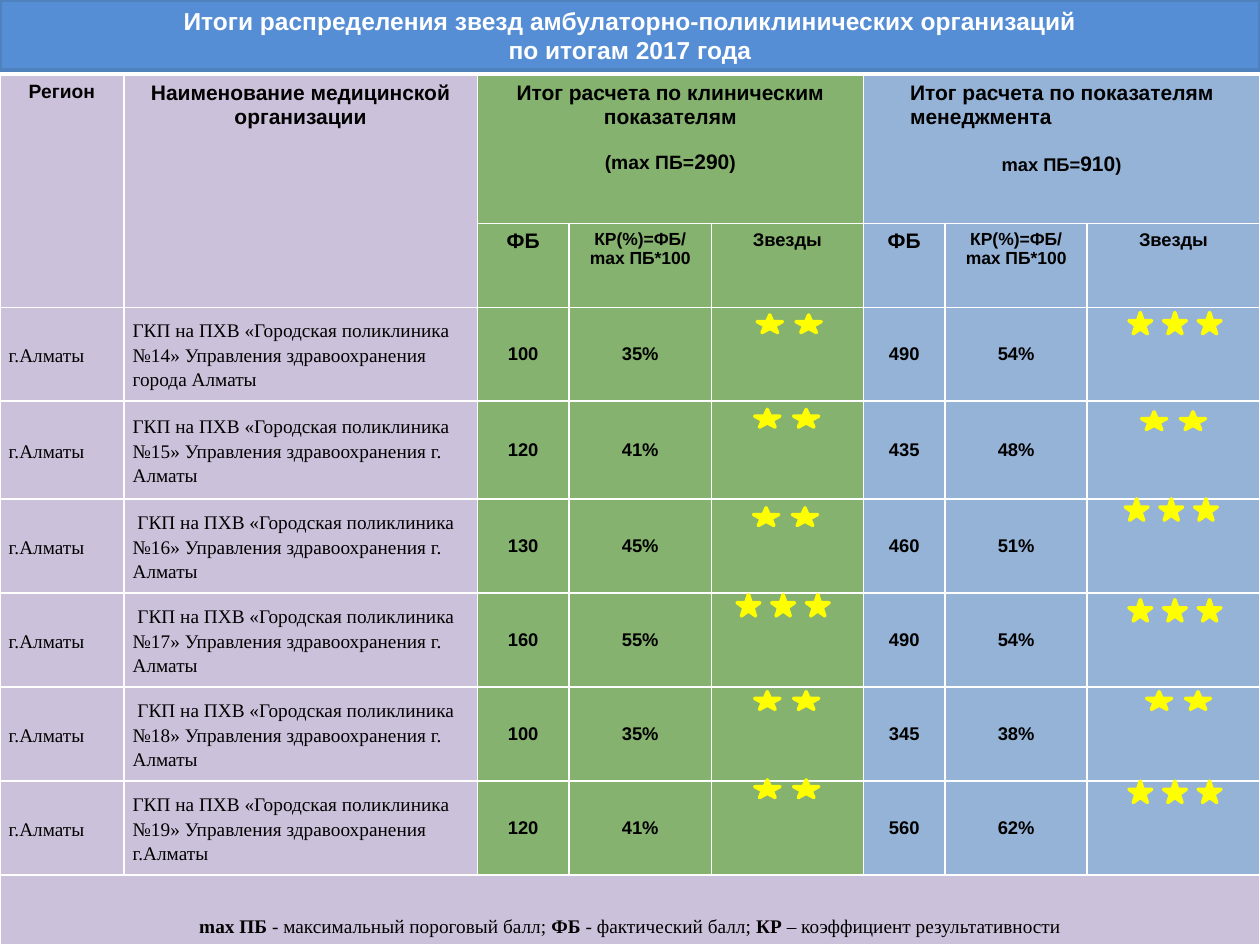
"""Build the table slide with star ratings of outpatient clinics."""
from lxml import etree
from pptx import Presentation
from pptx.dml.color import RGBColor
from pptx.enum.shapes import MSO_SHAPE
from pptx.enum.text import MSO_ANCHOR, PP_ALIGN
from pptx.oxml.ns import qn
from pptx.util import Pt

RECT, STAR = MSO_SHAPE.RECTANGLE, MSO_SHAPE.STAR_5_POINT
TOP, MIDDLE, BOTTOM = MSO_ANCHOR.TOP, MSO_ANCHOR.MIDDLE, MSO_ANCHOR.BOTTOM
LEFT, CENTER = PP_ALIGN.LEFT, PP_ALIGN.CENTER

WHITE = RGBColor(0xFF, 0xFF, 0xFF)
BLACK = RGBColor(0, 0, 0)
BLUE = RGBColor(0x55, 0x8E, 0xD5)
DARK_BLUE = RGBColor(0x4F, 0x81, 0xBD)
LILAC = RGBColor(0xCC, 0xC1, 0xDA)
GREEN = RGBColor(0x85, 0xB2, 0x6E)
PALE_BLUE = RGBColor(0x95, 0xB3, 0xD7)
YELLOW = RGBColor(0xFF, 0xFF, 0)

COL_WIDTHS = [70.8, 202, 52.4, 81.3, 86.9, 46.7, 81.2, 98.7]
ROW_HEIGHTS = [84.6, 48, 53.7, 56, 53.7, 53.7, 53.7, 53.7, 39.9]
COL_FILLS = [LILAC] * 2 + [GREEN] * 3 + [PALE_BLUE] * 3
FOOTER_ROW = len(ROW_HEIGHTS) - 1
MERGES = [(0, 0, 1, 0), (0, 1, 1, 1), (0, 2, 0, 4), (0, 5, 0, 7), (FOOTER_ROW, 0, FOOTER_ROW, 7)]

HEADER_INSETS = (7.2, 3.6, 7.2, 3.6)
NAME_INSETS = (5, 0, 5, 0)
NO_INSETS = (0, 0, 0, 0)
FOOTER_INSETS = (5, 0, 5, 4)

SUBHEADS = [("ФБ", 12), ("КР(%)=ФБ/ mах ПБ*100", 10), ("Звезды", 10.5)]
CLINICS = [
    ("ГКП на ПХВ «Городская поликлиника №14» Управления здравоохранения города Алматы",
     ("100", "35%"), ("490", "54%")),
    ("ГКП на ПХВ «Городская поликлиника №15» Управления здравоохранения г. Алматы",
     ("120", "41%"), ("435", "48%")),
    (" ГКП на ПХВ «Городская поликлиника №16» Управления здравоохранения г. Алматы",
     ("130", "45%"), ("460", "51%")),
    (" ГКП на ПХВ «Городская поликлиника №17» Управления здравоохранения г. Алматы",
     ("160", "55%"), ("490", "54%")),
    (" ГКП на ПХВ «Городская поликлиника №18» Управления здравоохранения г. Алматы",
     ("100", "35%"), ("345", "38%")),
    ("ГКП на ПХВ «Городская поликлиника №19» Управления здравоохранения г.Алматы",
     ("120", "41%"), ("560", "62%")),
]
STAR_SIZES = {2: (14.4, 10.1, 22.2), 3: (13, 12.2, 19.8)}
RATINGS = [
    (2, 432.7, 180), (3, 645.1, 178.6),
    (2, 431.3, 234), (2, 652.3, 235.4),
    (2, 430.6, 290.2), (3, 643, 285.1),
    (3, 421.2, 339.8), (3, 645.1, 342.7),
    (2, 431.3, 395.3), (2, 655.2, 395.3),
    (2, 431.3, 445.7), (3, 645.1, 446.4),
]


def sans(size, bold=True, color=BLACK):
    return {"name": "Arial", "size": Pt(size), "bold": bold, "color": color}


def serif(bold=False):
    return {"name": "Times New Roman", "size": Pt(11), "bold": bold, "color": BLACK}


class SlideBuilder:
    """Hold the slide and its shared style, and draw each kind of element."""

    border_width = 1
    line_width = 2

    def __init__(self, prs):
        self.s = prs.slides.add_slide(prs.slide_layouts[6])

    def paragraph(self, p, runs, align=CENTER, indent=0, **spacing):
        p.alignment = align
        if indent:
            p._p.get_or_add_pPr().set("marL", str(Pt(indent)))
        for key, value in spacing.items():
            setattr(p, key, value)
        for text, style in runs:
            r = p.add_run()
            r.text = text
            for key, value in style.items():
                if key == "color":
                    r.font.color.rgb = value
                else:
                    setattr(r.font, key, value)

    def shape(self, shapes, kind, x, y, w, h, fill, line):
        sp = shapes.add_shape(kind, Pt(x), Pt(y), Pt(w), Pt(h))
        sp.shadow.inherit = False
        sp.fill.solid()
        sp.fill.fore_color.rgb = fill
        sp.line.color.rgb = line
        sp.line.width = Pt(self.line_width)
        return sp

    def title(self, lines, w, h):
        sp = self.shape(self.s.shapes, RECT, 0, 0, w, h, BLUE, DARK_BLUE)
        tf = sp.text_frame
        tf.word_wrap = True
        tf.vertical_anchor = MIDDLE
        p = tf.paragraphs[0]
        for i, line in enumerate(lines):
            if i:
                p.add_line_break()
            self.paragraph(p, [(line, sans(14, color=WHITE))])

    def table(self, y):
        frame = self.s.shapes.add_table(len(ROW_HEIGHTS), len(COL_WIDTHS), 0, Pt(y),
                                        Pt(sum(COL_WIDTHS)), Pt(sum(ROW_HEIGHTS)))
        self.tbl = frame.table
        self.tbl.first_row = self.tbl.horz_banding = False
        for col, width in zip(self.tbl.columns, COL_WIDTHS):
            col.width = Pt(width)
        for row, height in zip(self.tbl.rows, ROW_HEIGHTS):
            row.height = Pt(height)
        for i in range(len(ROW_HEIGHTS)):
            for j, fill in enumerate(COL_FILLS):
                cell = self.tbl.cell(i, j)
                self.borders(cell)
                cell.fill.solid()
                cell.fill.fore_color.rgb = LILAC if i == FOOTER_ROW else fill
        for top, left, bottom, right in MERGES:
            self.tbl.cell(top, left).merge(self.tbl.cell(bottom, right))

    def borders(self, cell):
        tcPr = cell._tc.get_or_add_tcPr()
        for side in ("lnL", "lnR", "lnT", "lnB"):
            ln = etree.SubElement(tcPr, qn(f"a:{side}"), w=str(Pt(self.border_width)))
            fill = etree.SubElement(ln, qn("a:solidFill"))
            etree.SubElement(fill, qn("a:srgbClr"), val=str(WHITE))

    def cell(self, row, col, paragraphs, anchor=TOP, insets=HEADER_INSETS):
        cell = self.tbl.cell(row, col)
        cell.vertical_anchor = anchor
        for side, inset in zip(("left", "top", "right", "bottom"), insets):
            setattr(cell, f"margin_{side}", Pt(inset))
        tf = cell.text_frame
        for i, (runs, options) in enumerate(paragraphs):
            p = tf.add_paragraph() if i else tf.paragraphs[0]
            self.paragraph(p, runs, **options)

    def stars(self, count, x, y):
        w, h, step = STAR_SIZES[count]
        group = self.s.shapes.add_group_shape()
        for i in range(count):
            self.shape(group.shapes, STAR, x + i * step, y, w, h, YELLOW, YELLOW)


def main():
    prs = Presentation()
    prs.slide_width, prs.slide_height = Pt(720), Pt(540)
    b = SlideBuilder(prs)
    b.title(["Итоги распределения звезд амбулаторно-поликлинических организаций",
             "по итогам 2017 года"], 720, 40)
    b.table(43)

    b.cell(0, 0, [([("Регион", sans(11))], {})])
    b.cell(0, 1, [([("Наименование медицинской организации", sans(12))], {})])
    b.cell(0, 2, [
        ([("Итог расчета по клиническим показателям", sans(12))], {}),
        ([("(mах ПБ=", sans(11)), ("290", sans(12)), (")", sans(11))],
         {"space_before": Pt(12.6)})])
    b.cell(0, 5, [
        ([("Итог расчета по показателям менеджмента", sans(12))], {"align": LEFT, "indent": 19.5}),
        ([("mах ПБ=", sans(10.5)), ("910", sans(12)), (")", sans(10.5))],
         {"space_before": Pt(13.8)})])
    for j, (text, size) in enumerate(SUBHEADS * 2, start=2):
        b.cell(1, j, [([(text, sans(size))], {})])

    for i, (name, clinical, management) in enumerate(CLINICS, start=2):
        for j, text in enumerate(("г.Алматы", name)):
            b.cell(i, j, [([(text, serif())], {"align": LEFT, "line_spacing": 1.15})],
                   MIDDLE, NAME_INSETS)
        for first, values in ((2, clinical), (5, management)):
            for j, text in enumerate(values, start=first):
                b.cell(i, j, [([(text, sans(10.5))], {})], MIDDLE, NO_INSETS)

    legend = [("mах ПБ ", True), ("- максимальный пороговый балл; ", False), ("ФБ", True),
              (" - фактический балл; ", False), ("КР", True),
              (" – коэффициент результативности", False)]
    b.cell(FOOTER_ROW, 0, [([(text, serif(bold)) for text, bold in legend],
                            {"line_spacing": 1.15})], BOTTOM, FOOTER_INSETS)
    for rating in RATINGS:
        b.stars(*rating)
    prs.save("out.pptx")


if __name__ == "__main__":
    main()
